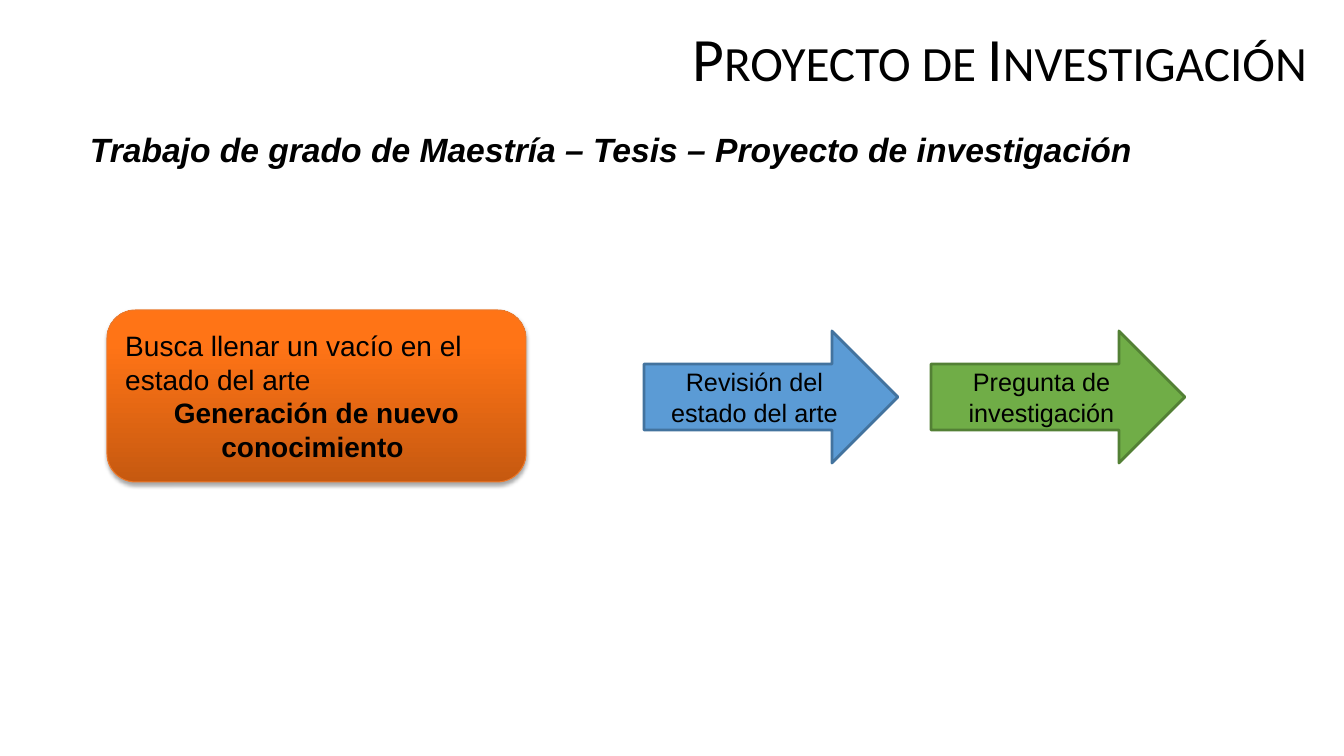
from copy import deepcopy
from lxml.etree import SubElement
from pptx import Presentation
from pptx.dml.color import RGBColor
from pptx.enum.shapes import MSO_SHAPE
from pptx.enum.text import MSO_ANCHOR, MSO_AUTO_SIZE, PP_ALIGN
from pptx.oxml.ns import qn
from pptx.util import Emu, Pt

BLACK = RGBColor(0, 0, 0)
RUST = RGBColor(0xC6, 0x59, 0x10)
ORANGE = RGBColor(0xFF, 0x74, 0x16)
BRIGHT = RGBColor(0xFF, 0x75, 0x17)
EDGE = RGBColor(0xEC, 0x79, 0x2B)
BLUE = RGBColor(0x5B, 0x9B, 0xD5)
NAVY = RGBColor(0x43, 0x73, 0x9E)
GREEN = RGBColor(0x70, 0xAD, 0x47)
MOSS = RGBColor(0x53, 0x80, 0x35)

TITLE = "Proyecto de Investigación"
THEME = "Trabajo de grado de Maestría – Tesis – Proyecto de investigación"
GOAL = [
    ("Busca llenar un vacío en el estado del arte", PP_ALIGN.LEFT, False),
    ("Generación de nuevo conocimiento ", PP_ALIGN.CENTER, True),
]
STEPS = [
    ("Revisión del estado del arte", BLUE, NAVY),
    ("Pregunta de investigación", GREEN, MOSS),
]
STOPS = [(0, RUST), (0.8, ORANGE), (1, BRIGHT)]

SCALE = 914400 / 100.8
WIDE, HIGH = 1344, 756
LEFT, TOP, PITCH = 644, 331, 287


def px(*nums):
    return [Emu(round(n * SCALE)) for n in nums]


def write(para, text, size, align=PP_ALIGN.LEFT, face="Arial", bold=False, slant=False):
    para.alignment = align
    run = para.add_run()
    run.text = text
    font = run.font
    font.name, font.size = face, Pt(size)
    font.bold, font.italic = bold, slant
    font.color.rgb = BLACK
    return run


def draw(slide, kind, area, edge, width):
    shape = slide.shapes.add_shape(kind, *px(*area))
    shape.shadow.inherit = False
    shape.line.color.rgb = edge
    shape.line.width = Pt(width)
    shape.text_frame.word_wrap = True
    shape.text_frame.vertical_anchor = MSO_ANCHOR.MIDDLE
    return shape


def shade(shape):
    fill = shape.fill
    fill.gradient()
    fill.gradient_angle = 90
    stops = shape._element.spPr.find(qn("a:gradFill")).find(qn("a:gsLst"))
    stops.append(deepcopy(stops[-1]))
    for stop, (place, color) in zip(fill.gradient_stops, STOPS):
        stop.position = place
        stop.color.rgb = color


def cast(shape):
    effect = shape._element.spPr.find(qn("a:effectLst"))
    outer = SubElement(effect, qn("a:outerShdw"), blurRad=str(Pt(3.1)),
                       dist=str(Pt(1.8)), dir="5400000", rotWithShape="0")
    color = SubElement(outer, qn("a:srgbClr"), val="000000")
    SubElement(color, qn("a:alpha"), val="35000")


def main():
    deck = Presentation()
    deck.slide_width, deck.slide_height = px(WIDE, HIGH)
    slide = deck.slides.add_slide(deck.slide_layouts[5])

    title = slide.shapes.title
    title.left, title.top, title.width, title.height = px(317, 23, 1000, 104)
    frame = title.text_frame
    frame.word_wrap = True
    frame.auto_size = MSO_AUTO_SIZE.NONE
    frame.vertical_anchor = MSO_ANCHOR.TOP
    para = frame.paragraphs[0]
    para.line_spacing = 0.9
    run = write(para, TITLE, 44, PP_ALIGN.RIGHT, "Calibri")
    run.font._element.set("cap", "small")

    frame = slide.shapes.add_textbox(*px(80, 124, 1138, 50)).text_frame
    frame.word_wrap = True
    frame.auto_size = MSO_AUTO_SIZE.SHAPE_TO_FIT_TEXT
    write(frame.paragraphs[0], THEME, 24, bold=True, slant=True)

    goal = draw(slide, MSO_SHAPE.ROUNDED_RECTANGLE, (107, 310, 419, 172), EDGE, 0.75)
    shade(goal)
    cast(goal)
    frame = goal.text_frame
    for i, (text, align, bold) in enumerate(GOAL):
        para = frame.add_paragraph() if i else frame.paragraphs[0]
        write(para, text, 20, align, bold=bold)

    for i, (text, color, edge) in enumerate(STEPS):
        area = (LEFT + i * PITCH, TOP, 254, 132)
        arrow = draw(slide, MSO_SHAPE.RIGHT_ARROW, area, edge, 2)
        arrow.fill.solid()
        arrow.fill.fore_color.rgb = color
        write(arrow.text_frame.paragraphs[0], text, 18, PP_ALIGN.CENTER)

    deck.save("out.pptx")


if __name__ == "__main__":
    main()
